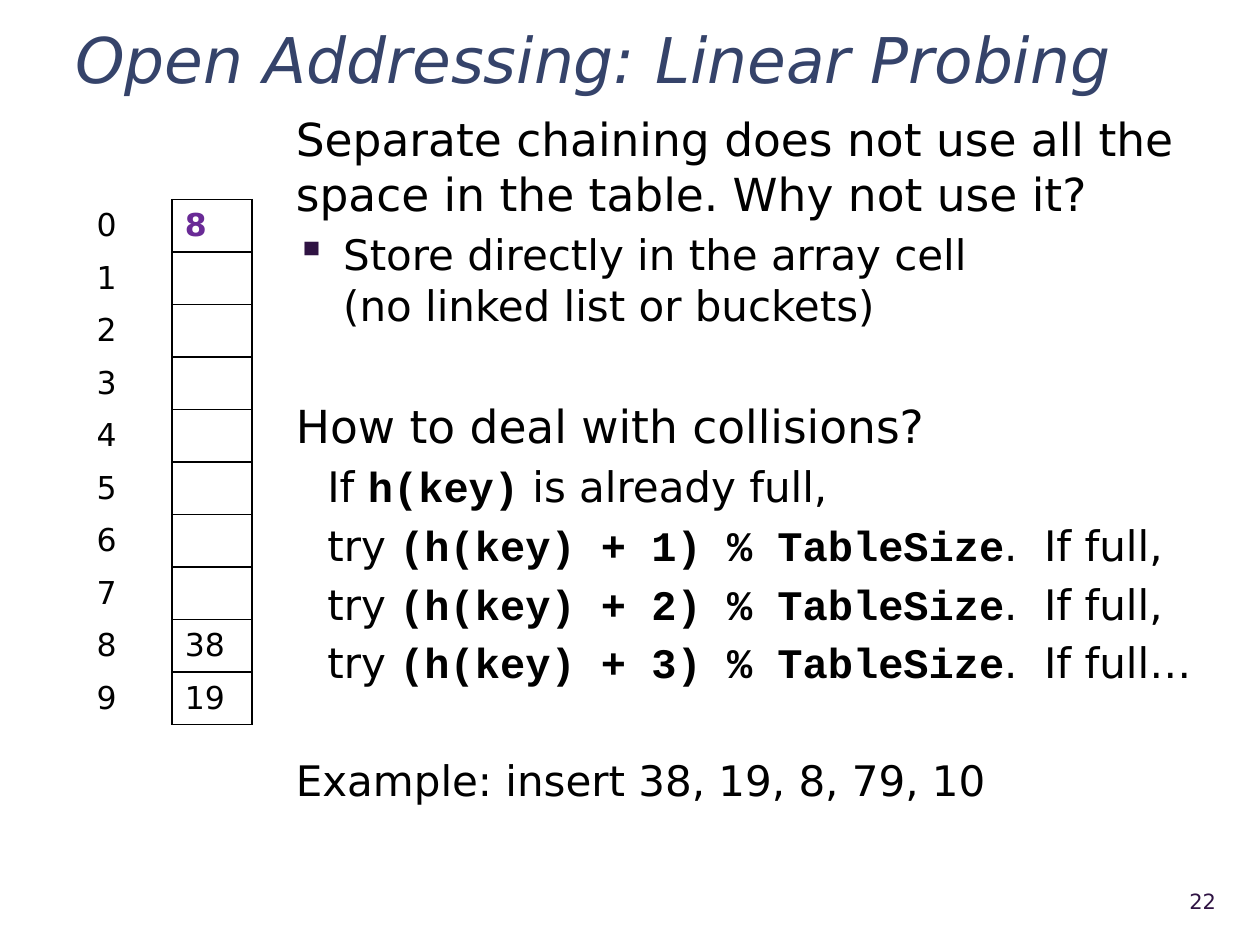
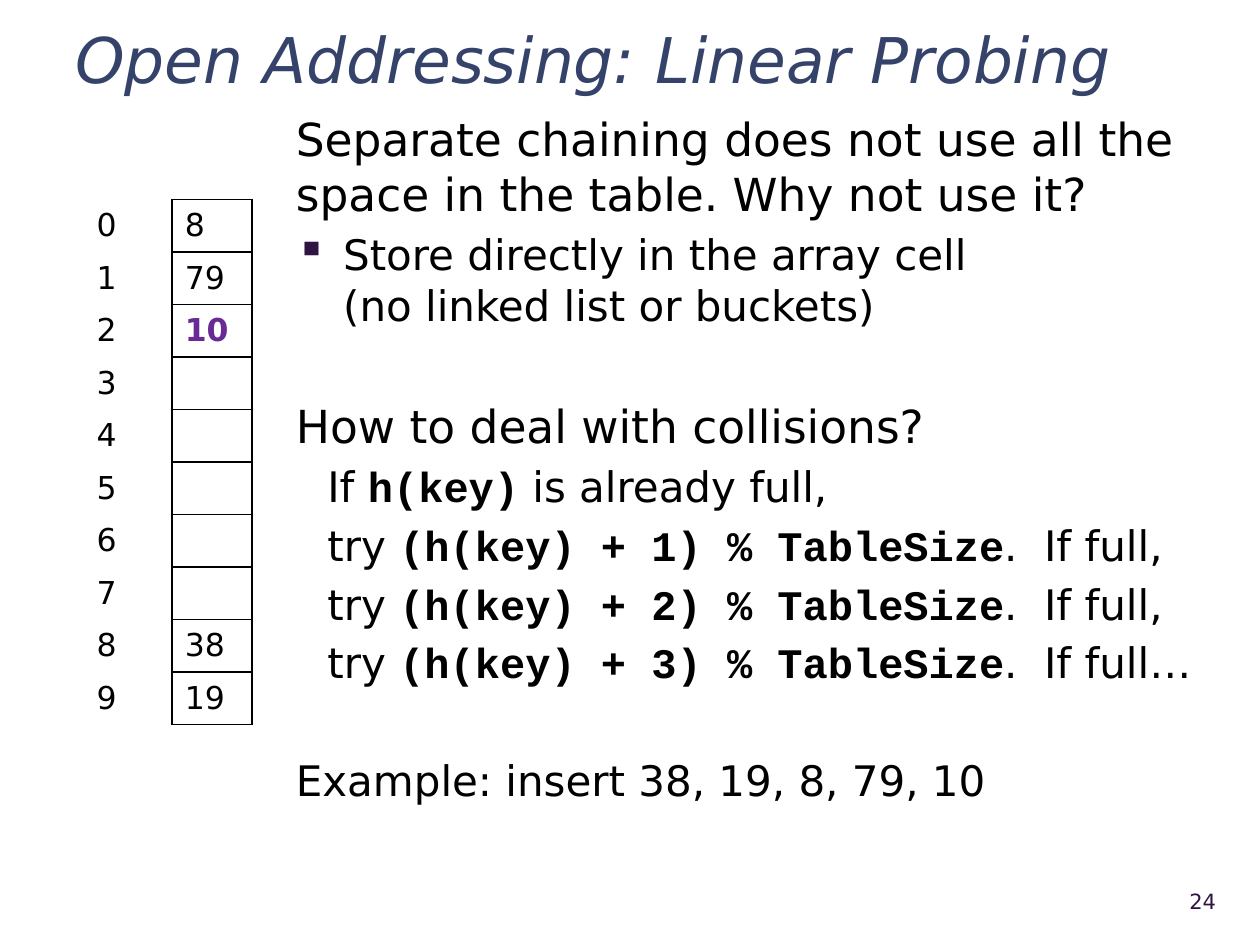
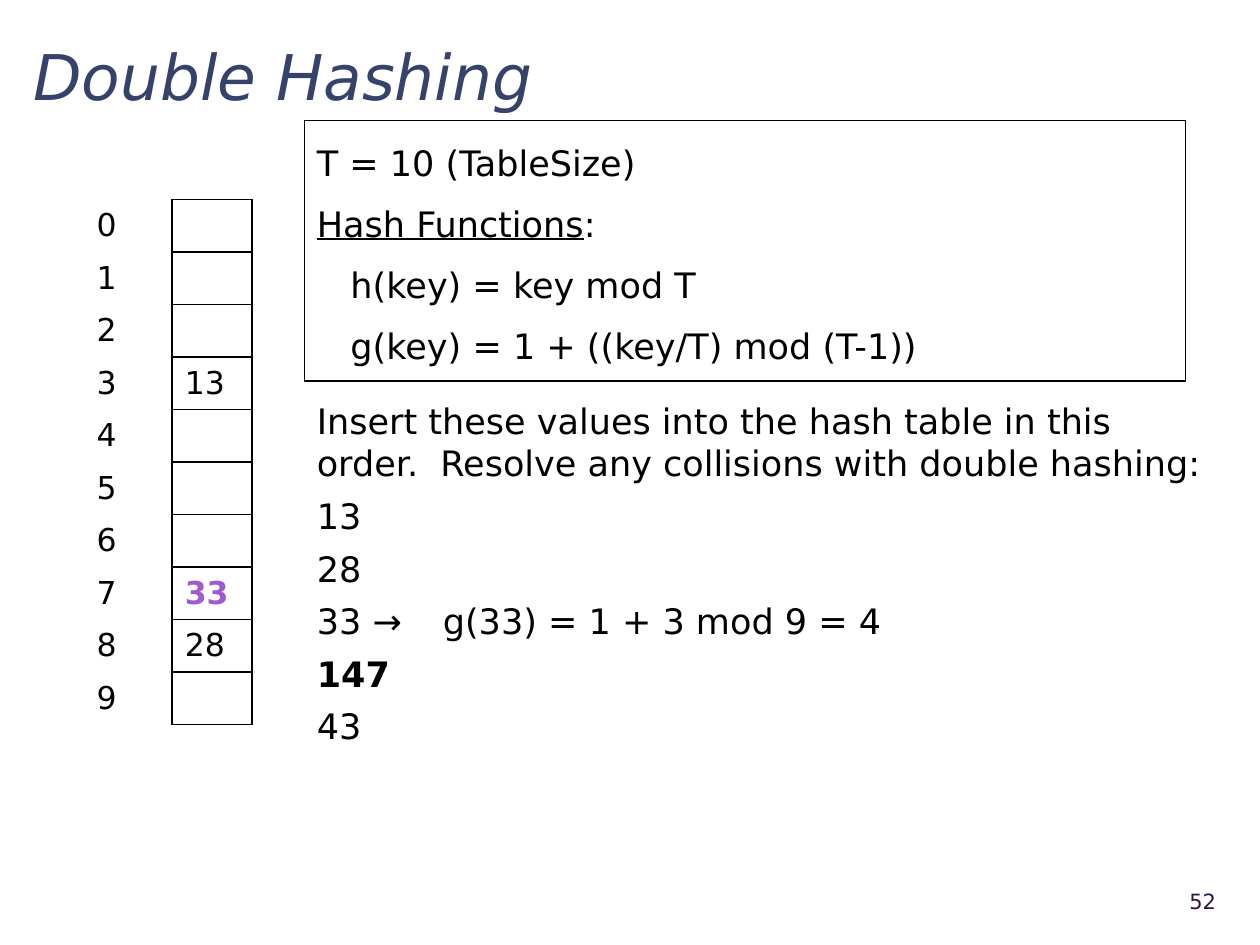
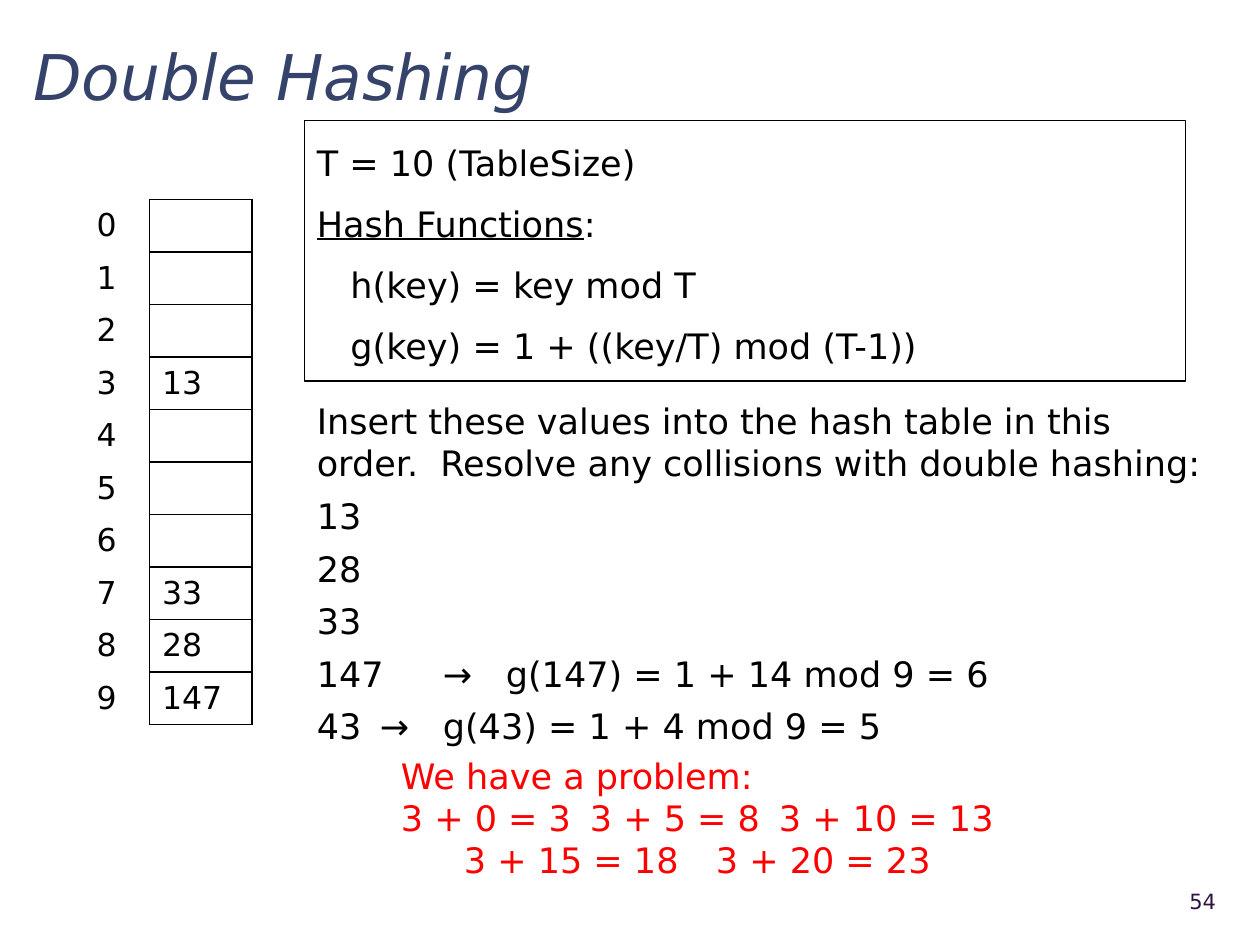
import pptx
import pptx.dml.color
import pptx.enum.shapes
import pptx.enum.text
import pptx.oxml.ns
import pptx.util
import lxml.etree

Pt = pptx.util.Pt
anchor = pptx.enum.text.MSO_ANCHOR
align = pptx.enum.text.PP_ALIGN
grow = pptx.enum.text.MSO_AUTO_SIZE.SHAPE_TO_FIT_TEXT
tag = pptx.oxml.ns.qn

deck = pptx.Presentation()
deck.slide_width = pptx.util.Inches(10)
deck.slide_height = pptx.util.Inches(7.5)
unit = deck.slide_width // 120

ink, navy, plum, red = "000000", "35436A", "2F1343", "FF0000"
sans, mono = "DejaVu Sans", "Courier New"
code = {"name": mono, "bold": True}


def hue(part, hex):
    part.rgb = pptx.dml.color.RGBColor.from_string(hex)


def write(frame, paras, base):
    for num, (text, form) in enumerate(paras):
        para = frame.paragraphs[0] if num == 0 else frame.add_paragraph()
        prop = para._p.get_or_add_pPr()
        prop.set("marL", str(int(form.get("left", 0) * unit)))
        prop.set("indent", str(int(form.get("hang", 0) * unit)))
        if "mark" in form:
            tint = lxml.etree.SubElement(prop, tag("a:buClr"))
            lxml.etree.SubElement(tint, tag("a:srgbClr"), val=plum)
            lxml.etree.SubElement(prop, tag("a:buChar"), char=form["mark"])
        if "tabs" in form:
            tabs = lxml.etree.SubElement(prop, tag("a:tabLst"))
            for stop in form["tabs"]:
                lxml.etree.SubElement(tabs, tag("a:tab"), pos=str(int(stop * unit)), algn="l")
        for key in ("line_spacing", "alignment"):
            if key in form:
                setattr(para, key, form[key])
        para.space_before = Pt(form.get("gap", 0) if num else 0)
        for words, look in [(text, {})] if isinstance(text, str) else text:
            for row, piece in enumerate(words.split("\n")):
                if row:
                    para.add_line_break()
                run = para.add_run()
                run.text = piece
                font = {"name": sans, "color": ink, **base, **form.get("font", {}), **look}
                hue(run.font.color, font.pop("color"))
                for key, value in font.items():
                    setattr(run.font, key, value)


big, mid, small = {"size": Pt(26)}, {"size": Pt(24)}, {"size": Pt(20)}
step = {"left": 3, "gap": 4.8}
probe = [
    ("Separate chaining does not use all the space in the table. Why not use it?", {"font": big}),
    ("Store directly in the array cell \n(no linked list or buckets)",
     {"left": 4.5, "hang": -4.5, "mark": "▪", "gap": 4.8}),
    ("How to deal with collisions?", {"font": big, "gap": 38.9}),
    ([("If ", {}), ("h(key)", code), (" is already full,", {})], step),
]
for num, tail in enumerate([",", ",", "…"], 1):
    probe.append(([("try ", {}), (f"(h(key) + {num}) % TableSize", code),
                   (f".  If full{tail}", {})], step))
probe.append(("Example: insert 38, 19, 8, 79, 10", {"gap": 38.5}))

rule = {"line_spacing": 1.2, "gap": 6}
inner = {**rule, "left": 3.2}
rules = [
    ("T = 10 (TableSize)", rule),
    ([("Hash Functions", {"underline": True}), (":", {})], rule),
    ("h(key) = key mod T", inner),
    ("g(key) = 1 + ((key/T) mod (T-1))", inner),
]

near = {"gap": 6, "tabs": (5.2, 9.7)}
far = {"gap": 6, "tabs": (8.3, 12.7)}
task = [(text, near) for text in (
    "Insert these values into the hash table in this order.  Resolve any collisions with double hashing:",
    "13", "28")]
first = task + [
    ("33 →\tg(33) = 1 + 3 mod 9 = 4", near),
    ("147", {**near, "font": {"bold": True}}),
    ("43", near),
]
last = task + [
    ("33", near),
    ("147\t→\tg(147) = 1 + 14 mod 9 = 6", far),
    ("43\t→\tg(43) = 1 + 4 mod 9 = 5", far),
]
wide = {"tabs": (21.7, 50.3), "font": {"color": red}}
snag = [
    ("We have a problem:", wide),
    ("3 + 0 = 3\t3 + 5 = 8\t3 + 10 = 13\n\t3 + 15 = 18\t3 + 20 = 23", wide),
]

linear = ("Open Addressing: Linear Probing", (6, 2, 111, 6.4))
double = ("Double Hashing", (2, 2.3, 116, 9))
steps = ((27, 10, 90, 72), probe, mid, False)
frame = ((29, 11.5, 83.9, 24.8), rules, small, True)
work = (29, 37.5, 87.4, 34.6)
pages = [
    (22, linear, [steps], {0: 8, 8: 38, 9: 19}, 0, "692A96", 8.4),
    (24, linear, [steps], {0: 8, 1: 79, 2: 10, 8: 38, 9: 19}, 2, "692A96", 8.4),
    (52, double, [(work, first, small, False), frame],
     {3: 13, 7: 33, 8: 28}, 7, "9F5AD0", 8.4),
    (54, double, [(work, last, small, False), frame,
                  ((37, 71.3, 80.9, 13.3), snag, small, False)],
     {3: 13, 7: 33, 8: 28, 9: 147}, None, ink, 6.25),
]

for page, (head, spot), parts, keys, new, glow, split in pages:
    slide = deck.slides.add_slide(deck.slide_layouts[6])
    title = ([(head, {"line_spacing": 1.1})], {"size": Pt(36), "color": navy, "italic": True})
    foot = ([(str(page), {"alignment": align.RIGHT})], {"size": Pt(12), "color": plum})
    boxes = [(spot, *title, False), *parts, ((106.7, 83.4, 10.3, 4.8), *foot, False)]
    for place, paras, base, lined in boxes:
        area = [int(side * unit) for side in place]
        if lined:
            box = slide.shapes.add_shape(pptx.enum.shapes.MSO_SHAPE.RECTANGLE, *area)
            box.shadow.inherit = False
            box.fill.background()
            hue(box.line.color, ink)
            box.line.width = Pt(0.75)
            for side in ("left", "top", "right", "bottom"):
                setattr(box.text_frame, f"margin_{side}", int(1.2 * unit))
        else:
            box = slide.shapes.add_textbox(*area)
        text = box.text_frame
        text.word_wrap = True
        text.vertical_anchor = anchor.TOP if paras in [part[1] for part in parts] else anchor.MIDDLE
        if base is small:
            text.auto_size = grow
        write(text, [(words, {"alignment": align.LEFT, **form}) for words, form in paras], base)

    grid = slide.shapes.add_table(10, 2, 8 * unit, 19 * unit, 16 * unit, 50 * unit).table
    grid._tbl.tblPr.find(tag("a:tableStyleId")).text = "{2D5ABB26-0587-4C30-8999-92F81FD0307C}"
    grid.first_row = grid.horz_banding = False
    grid.columns[0].width = int(split * unit)
    grid.columns[1].width = int((16 - split) * unit)
    for row in range(10):
        for col, value in enumerate((row, keys.get(row))):
            cell = grid.cell(row, col)
            cell.vertical_anchor = anchor.MIDDLE
            if value is not None:
                fresh = col == 1 and row == new
                look = {"size": Pt(18), "bold": fresh, "color": glow if fresh else ink}
                write(cell.text_frame, [(str(value), {})], look)
            if col:
                prop = cell._tc.get_or_add_tcPr()
                for side in ("lnL", "lnR", "lnT", "lnB"):
                    edge = lxml.etree.SubElement(prop, tag(f"a:{side}"), w=str(Pt(1)))
                    fill = lxml.etree.SubElement(edge, tag("a:solidFill"))
                    lxml.etree.SubElement(fill, tag("a:srgbClr"), val=ink)
            cell.fill.background()

deck.save("out.pptx")
